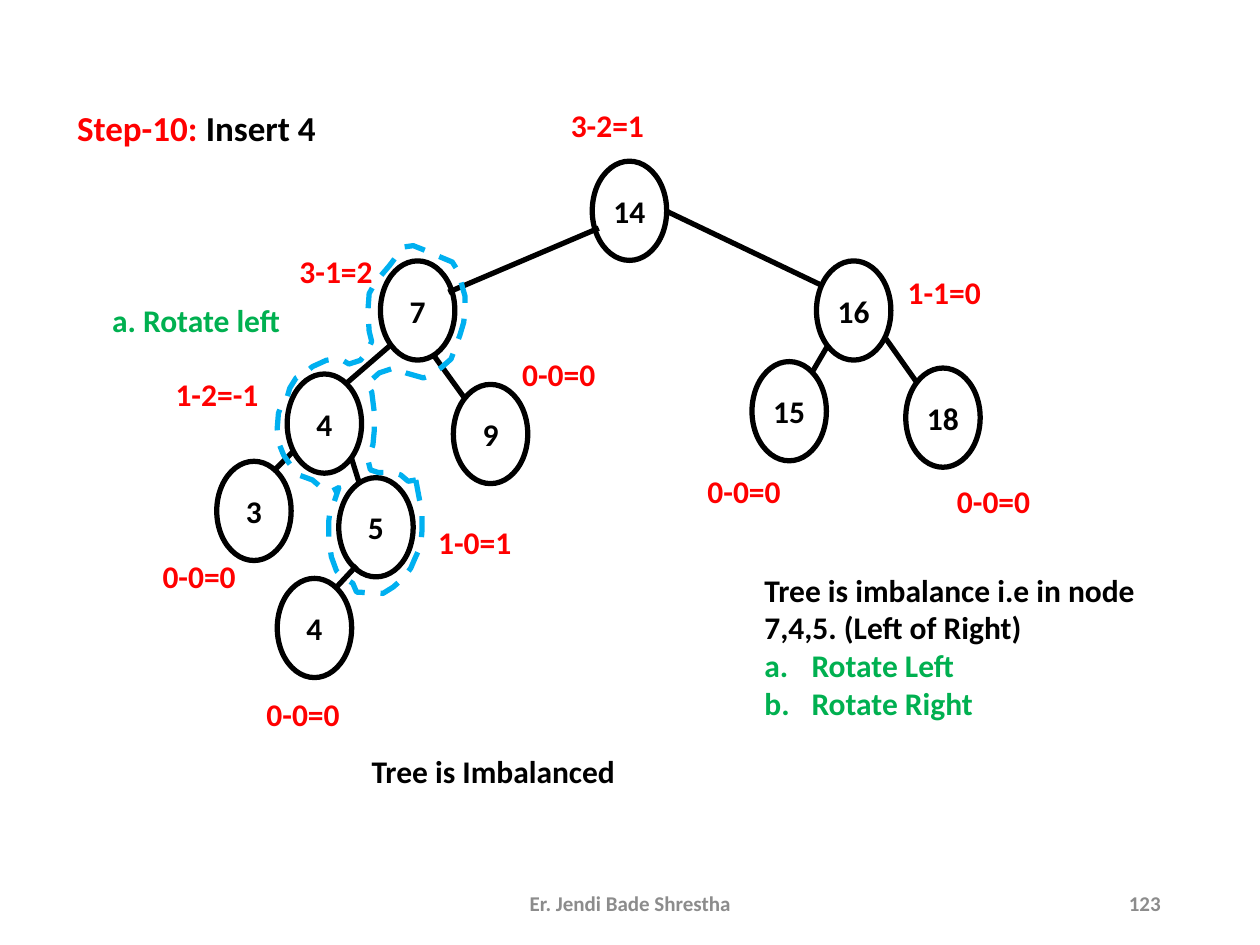
from typing import NamedTuple

from lxml.etree import SubElement
from pptx import Presentation
from pptx.dml.color import RGBColor
from pptx.enum.dml import MSO_LINE
from pptx.enum.shapes import MSO_CONNECTOR, MSO_SHAPE
from pptx.enum.text import MSO_ANCHOR, MSO_AUTO_SIZE, PP_ALIGN
from pptx.oxml.ns import qn
from pptx.util import Cm, Pt

BLACK, WHITE, RED = "000000", "FFFFFF", "FF0000"
GREEN, BLUE, GRAY = "00B050", "00B0F0", "8C8C8C"
WIDE, HIGH = 1.5, 2.0  # node size
ROW = 1.02  # height of a one-line box
LEFT, MID, RIGHT = PP_ALIGN.LEFT, PP_ALIGN.CENTER, PP_ALIGN.RIGHT


class Node(NamedTuple):
    key: str
    x: float
    y: float
    tag: str  # balance factor and its box
    tag_x: float
    tag_y: float
    tag_w: float


class Edge(NamedTuple):
    x1: float
    y1: float
    x2: float
    y2: float


class Note(NamedTuple):
    text: str
    x: float
    y: float
    w: float
    ink: str = BLACK
    size: int = 18
    side: PP_ALIGN = LEFT


NODES = [
    Node("14", 11.94, 3.25, "3-2=1", 9.91, 2.01, 4.67),
    Node("16", 16.46, 5.26, "1-1=0", 18.03, 5.38, 2.01),
    Node("7", 7.67, 5.26, "3-1=2", 5.77, 4.95, 2.01),
    Node("4", 5.79, 7.54, "1-2=-1", 2.29, 7.44, 4.17),
    Node("9", 9.14, 7.75, "0-0=0", 8.74, 7.04, 5.05),
    Node("18", 18.26, 7.42, "0-0=0", 17.86, 9.6, 4.34),
    Node("3", 4.37, 9.3, "0-0=0", 2.29, 11.1, 3.45),
    Node("5", 6.83, 9.63, "1-0=1", 7.59, 10.41, 3.96),
    Node("15", 15.16, 7.29, "0-0=0", 13.16, 9.4, 3.68),
    Node("4", 5.59, 11.66, "0-0=0", 4.32, 13.89, 3.58),
]
EDGES = [
    Edge(13.46, 4.27, 16.54, 5.74),
    Edge(12.07, 4.6, 9.04, 5.89),
    Edge(7.87, 6.96, 6.99, 7.72),
    Edge(8.74, 7.16, 9.37, 8.03),
    Edge(17.86, 6.83, 18.49, 7.72),
    Edge(16.69, 6.96, 16.38, 7.49),
    Edge(5.94, 9.07, 5.54, 9.47),
    Edge(7.09, 9.25, 7.24, 9.73),
    Edge(7.19, 11.4, 6.78, 11.84),
]
NOTES = [
    Note("Tree is Imbalanced", 7.24, 15.04, 8.18),
    Note("a. Rotate left", 2.01, 5.94, 3.94, GREEN),
    Note("Er. Jendi Bade Shrestha", 8.41, 17.7, 8.59, GRAY, 12, MID),
    Note("123", 17.93, 17.7, 5.72, GRAY, 12, RIGHT),
]
# Outline round nodes 7, 4 and 5, in steps of STEP cm
STEP = 0.0254
LOOP = [
    (330, 381), (333, 397), (335, 405), (335, 420), (334, 433), (329, 444),
    (326, 451), (320, 459), (312, 466), (304, 471), (283, 470), (280, 463),
    (272, 458), (267, 453), (263, 442), (261, 428), (261, 413), (262, 405),
    (265, 399), (269, 387), (263, 390), (255, 387), (248, 381), (237, 377),
    (229, 367), (225, 361), (221, 351), (220, 340), (221, 328), (224, 320),
    (228, 315), (230, 308), (235, 300), (241, 297), (248, 291), (259, 286),
    (265, 285), (272, 286), (277, 289), (286, 286), (291, 280), (295, 271),
    (293, 263), (292, 247), (293, 233), (298, 224), (303, 218), (309, 211),
    (315, 203), (321, 196), (328, 195), (338, 199), (347, 203), (359, 208),
    (364, 216), (367, 228), (369, 235), (369, 247), (368, 256), (365, 266),
    (358, 285), (350, 292), (339, 299), (336, 300), (322, 296), (313, 292),
    (301, 296), (291, 305), (295, 311), (297, 327), (297, 342), (296, 353),
    (292, 365), (294, 373), (300, 375), (312, 375), (318, 377), (324, 382),
]


def hue(code: str) -> RGBColor:
    return RGBColor.from_string(code)


def write(para, text: str, ink: str, size: int = 18) -> None:
    run = para.add_run()
    run.text = text
    font = run.font
    font.name, font.size, font.bold = "Calibri", Pt(size), True
    font.color.rgb = hue(ink)


def stroke(line, ink: str) -> None:
    line.color.rgb = hue(ink)
    line.width = Pt(3)


def add_box(slide, x: float, y: float, w: float, h: float = ROW):
    frame = slide.shapes.add_textbox(Cm(x), Cm(y), Cm(w), Cm(h)).text_frame
    frame.word_wrap = True
    return frame


def add_note(slide, note: Note) -> None:
    frame = add_box(slide, note.x, note.y, note.w)
    if note.size < 18:
        frame.vertical_anchor = MSO_ANCHOR.MIDDLE
    para = frame.paragraphs[0]
    para.alignment = note.side
    write(para, note.text, note.ink, note.size)


def add_node(slide, node: Node) -> None:
    oval = slide.shapes.add_shape(
        MSO_SHAPE.OVAL, Cm(node.x), Cm(node.y), Cm(WIDE), Cm(HIGH))
    oval.shadow.inherit = False
    oval.fill.solid()
    oval.fill.fore_color.rgb = hue(WHITE)
    stroke(oval.line, BLACK)
    frame = oval.text_frame
    frame.margin_left = frame.margin_right = 0
    frame.vertical_anchor = MSO_ANCHOR.MIDDLE
    frame.paragraphs[0].alignment = MID
    write(frame.paragraphs[0], node.key, BLACK)
    add_note(slide, Note(node.tag, node.tag_x, node.tag_y, node.tag_w,
                         RED, side=MID))


def add_edge(slide, edge: Edge) -> None:
    link = slide.shapes.add_connector(
        MSO_CONNECTOR.STRAIGHT, *(Cm(v) for v in edge))
    stroke(link.line, BLACK)
    SubElement(link.element.spPr, qn("a:effectLst"))


def add_loop(slide) -> None:
    pen = slide.shapes.build_freeform(*LOOP[0], scale=Cm(STEP))
    pen.add_line_segments(LOOP[1:], close=True)
    loop = pen.convert_to_shape()
    loop.shadow.inherit = False
    loop.fill.background()
    stroke(loop.line, BLUE)
    loop.line.dash_style = MSO_LINE.DASH


def add_plan(slide) -> None:
    frame = add_box(slide, 15.16, 11.38, 9.09, 3.33)
    write(frame.paragraphs[0],
          "Tree is imbalance i.e in node 7,4,5. (Left of Right)", BLACK)
    for step in ("Rotate Left", "Rotate Right"):
        para = frame.add_paragraph()
        props = para._p.get_or_add_pPr()
        props.set("marL", str(Cm(0.95)))
        props.set("indent", str(-Cm(0.95)))
        SubElement(props, qn("a:buFont")).set("typeface", "+mj-lt")
        SubElement(props, qn("a:buAutoNum")).set("type", "alphaLcPeriod")
        write(para, step, GREEN)


def set_title(slide) -> None:
    title = slide.shapes.title
    title.left, title.top = Cm(1.3), Cm(2.01)
    title.width, title.height = Cm(6.15), Cm(1.12)
    frame = title.text_frame
    frame.auto_size = MSO_AUTO_SIZE.NONE
    frame.vertical_anchor = MSO_ANCHOR.TOP
    para = frame.paragraphs[0]
    para.alignment = LEFT
    write(para, "Step-10: ", RED, 20)
    write(para, "Insert 4", BLACK, 20)


def main() -> None:
    deck = Presentation()
    deck.slide_width, deck.slide_height = Cm(25.4), Cm(19.05)
    slide = deck.slides.add_slide(deck.slide_layouts[5])
    set_title(slide)
    # Tree
    for node in NODES:
        add_node(slide, node)
    for edge in EDGES:
        add_edge(slide, edge)
    add_loop(slide)
    # Remarks and footer
    add_plan(slide)
    for note in NOTES:
        add_note(slide, note)
    deck.save("out.pptx")


if __name__ == "__main__":
    main()
